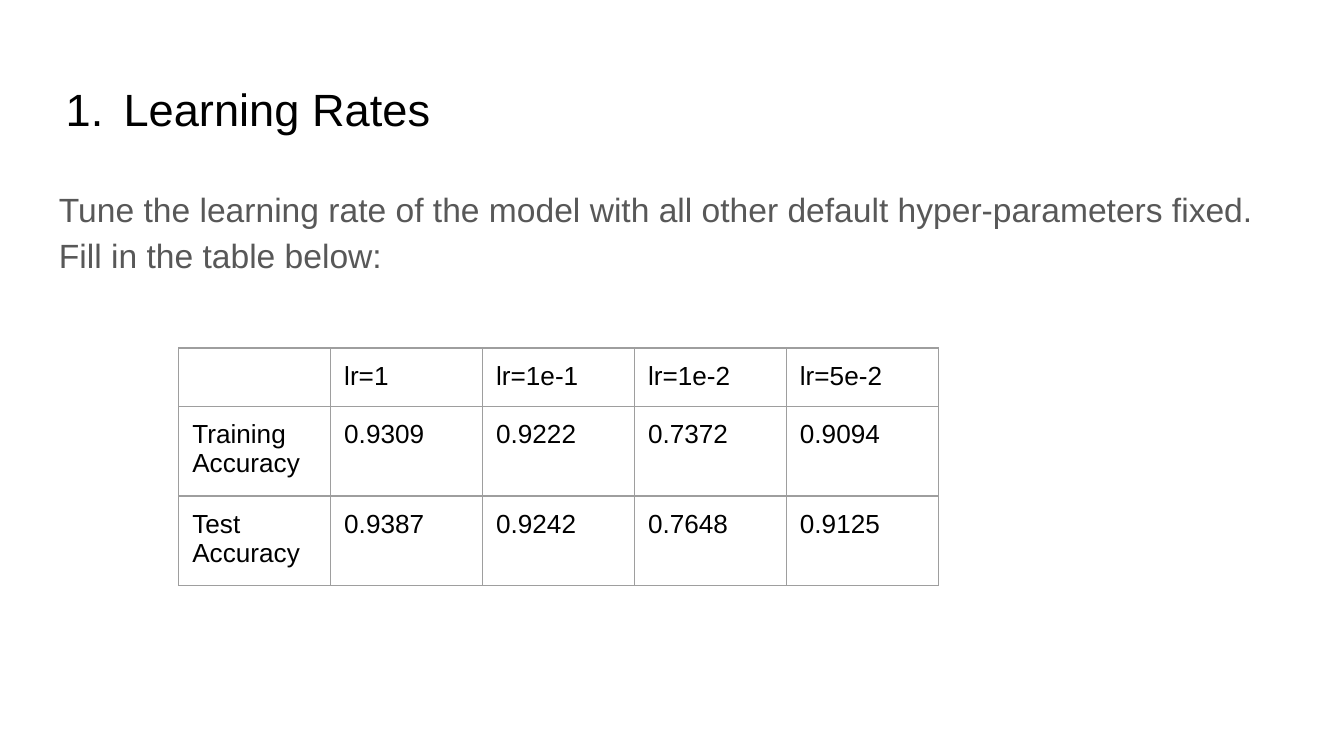
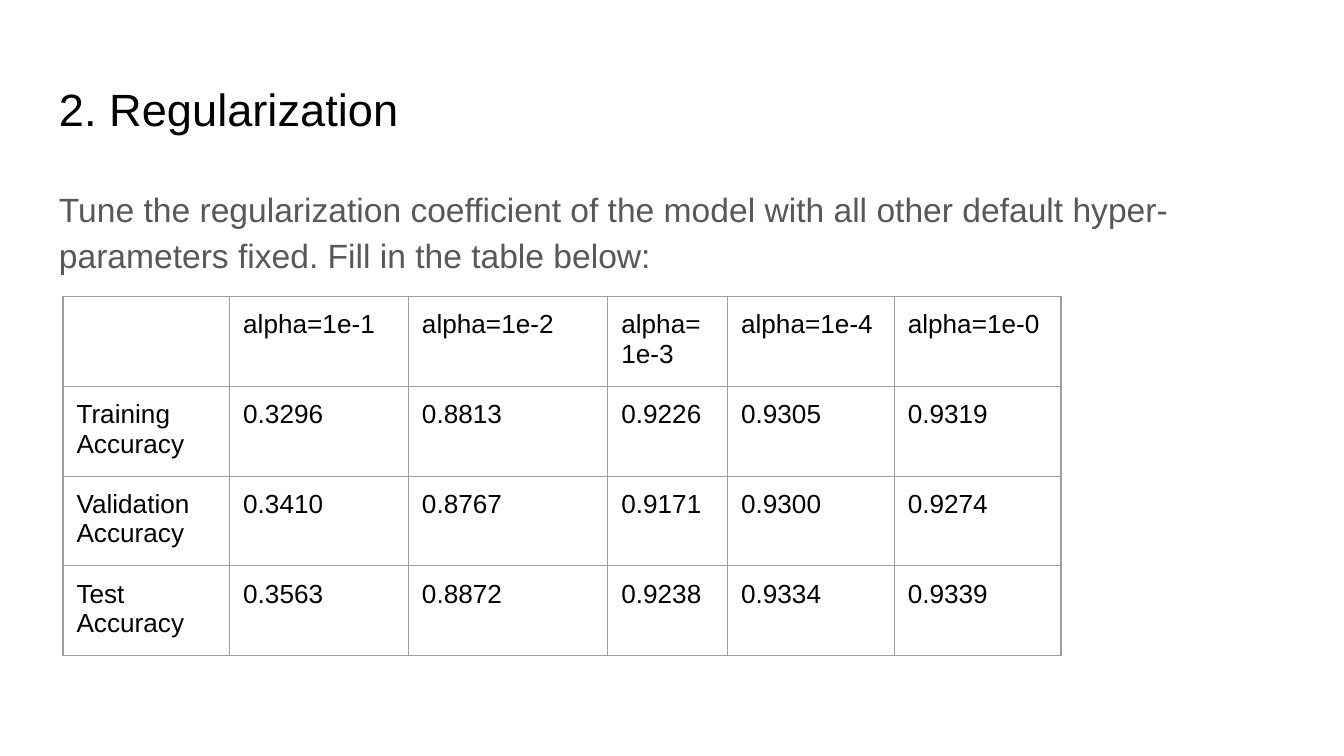
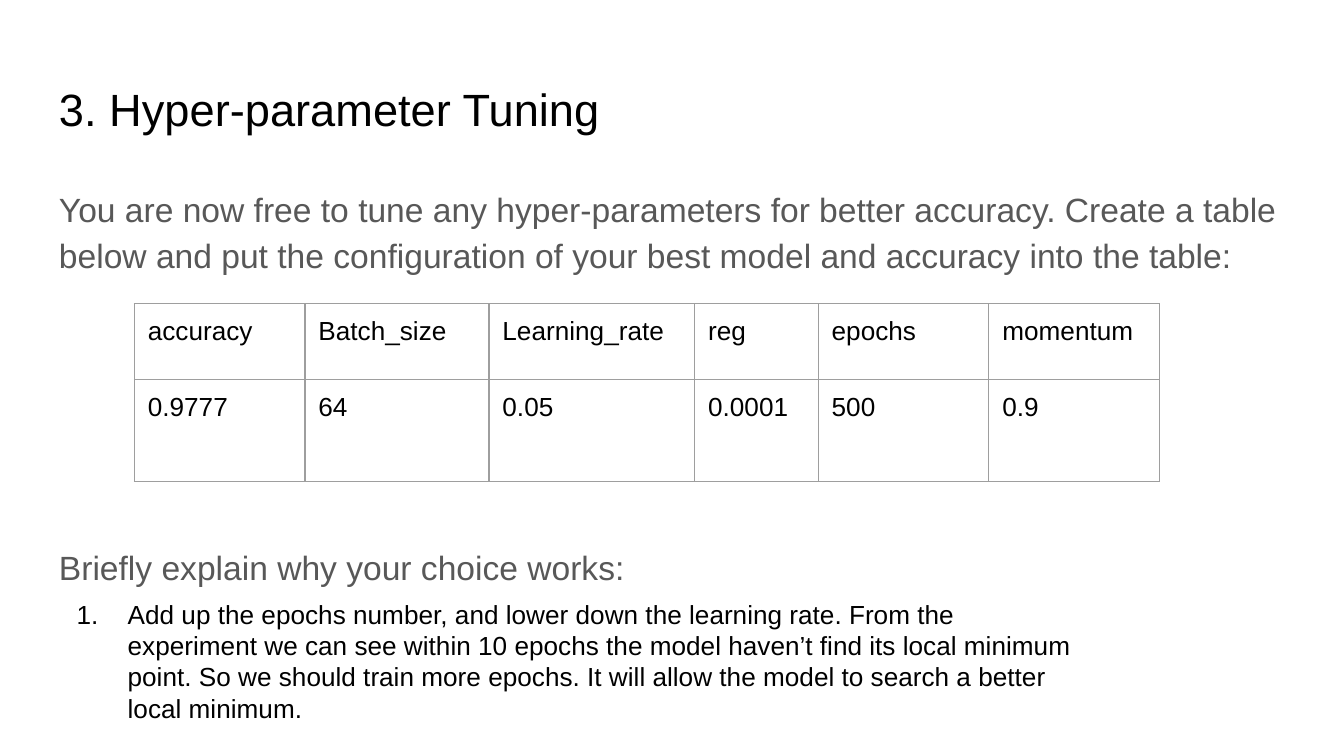
import pptx
import pptx.util
import pptx.dml.color
import pptx.enum.text
import pptx.oxml.ns
import lxml.etree
from dataclasses import dataclass

Pt = pptx.util.Pt
qn = pptx.oxml.ns.qn
ANCHOR = pptx.enum.text.MSO_ANCHOR


@dataclass(frozen=True)
class Theme:
    font: str = "Arial"
    ink: str = "000000"
    muted: str = "585858"
    paper: str = "FFFFFF"
    rule: str = "9E9E9E"
    rule_width: float = 0.75
    title_size: float = 24.2
    body_size: float = 18
    small_size: float = 14
    body_spacing: float = 1.15
    inset: float = 7.2


THEME = Theme()
SLIDE_SIZE = (720, 405)
TITLE_BOX = (24.5, 35.3, 671, 45.4)
BODY_BOX = (24.5, 90.7, 671, 269.3)
ANSWER_BOX = (41, 320.4, 541.4, 66)
TITLE_INDENT = (34.6, 31)
ANSWER_INDENT = (27.4, 27.4)
QUESTION_GAP = 142

SLIDES = [
    {
        "title": "Learning Rates",
        "numbered": True,
        "body": ["Tune the learning rate of the model with all other default "
                 "hyper-parameters fixed. Fill in the table below:"],
        "table": {
            "at": (95.8, 186.5),
            "cols": [81.4] * 5,
            "rows": [30.4, 45.9, 45.9],
            "cells": [
                ("", "lr=1", "lr=1e-1", "lr=1e-2", "lr=5e-2"),
                ("Training Accuracy", "0.9309", "0.9222", "0.7372", "0.9094"),
                ("Test Accuracy", "0.9387", "0.9242", "0.7648", "0.9125"),
            ],
        },
    },
    {
        "title": "2. Regularization",
        "body": ["Tune the regularization coefficient of the model with all other "
                 "default hyper-parameters fixed. Fill in the table below:"],
        "table": {
            "at": (33.8, 159),
            "cols": [89.3, 95.8, 106.8, 64.2, 89.3, 89.3],
            "rows": [45.9] * 4,
            "cells": [
                ("", "alpha=1e-1", "alpha=1e-2", "alpha=1e-3", "alpha=1e-4", "alpha=1e-0"),
                ("Training Accuracy", "0.3296", "0.8813", "0.9226", "0.9305", "0.9319"),
                ("Validation Accuracy", "0.3410", "0.8767", "0.9171", "0.9300", "0.9274"),
                ("Test Accuracy", "0.3563", "0.8872", "0.9238", "0.9334", "0.9339"),
            ],
        },
    },
    {
        "title": "3. Hyper-parameter Tuning",
        "body": ["You are now free to tune any hyper-parameters for better accuracy. "
                 "Create a table below and put the configuration of your best model "
                 "and accuracy into the table:",
                 "Briefly explain why your choice works:"],
        "answer": "Add up the epochs number, and lower down the learning rate. From the "
                  "experiment we can see within 10 epochs the model haven’t find its "
                  "local minimum point. So we should train more epochs. It will allow "
                  "the model to search a better local minimum.",
        "table": {
            "at": (72, 162.7),
            "cols": [91.4, 98.6, 110.2, 66.2, 91.4, 91.4],
            "rows": [40.7, 54.7],
            "cells": [
                ("accuracy", "Batch_size", "Learning_rate", "reg", "epochs", "momentum"),
                ("0.9777", "64", "0.05", "0.0001", "500", "0.9"),
            ],
        },
    },
]


def rgb(value):
    return pptx.dml.color.RGBColor.from_string(value)


def set_all(target, values):
    for name, value in values.items():
        setattr(target, name, value)


def margins(inset):
    return {f"margin_{side}": Pt(inset) for side in ("left", "top", "right", "bottom")}


def write(p, text, size, color):
    r = p.add_run()
    r.text = text
    set_all(r.font, {"name": THEME.font, "size": Pt(size)})
    r.font.color.rgb = rgb(color)


def number(p, left, hang):
    """Turn the paragraph into an automatically numbered list item."""
    pPr = p._p.get_or_add_pPr()
    pPr.set("marL", str(Pt(left)))
    pPr.set("indent", str(-Pt(hang)))
    lxml.etree.SubElement(pPr, qn("a:buFont"), typeface=THEME.font)
    lxml.etree.SubElement(pPr, qn("a:buAutoNum"), type="arabicPeriod")


def add_text(slide, box, paragraphs, size, color, inset=THEME.inset, anchor=ANCHOR.TOP):
    tf = slide.shapes.add_textbox(*map(Pt, box)).text_frame
    set_all(tf, {"word_wrap": True, "vertical_anchor": anchor, **margins(inset)})
    for i, text in enumerate(paragraphs):
        write(tf.add_paragraph() if i else tf.paragraphs[0], text, size, color)
    return tf.paragraphs


def draw_borders(cell):
    tcPr = cell._tc.get_or_add_tcPr()
    for i, side in enumerate(("lnL", "lnR", "lnT", "lnB")):
        ln = lxml.etree.Element(qn(f"a:{side}"), w=str(Pt(THEME.rule_width)))
        fill = lxml.etree.SubElement(ln, qn("a:solidFill"))
        lxml.etree.SubElement(fill, qn("a:srgbClr"), val=THEME.rule)
        tcPr.insert(i, ln)


def add_table(slide, at, cols, rows, cells):
    box = (*at, sum(cols), sum(rows))
    table = slide.shapes.add_table(len(rows), len(cols), *map(Pt, box)).table
    set_all(table, {"first_row": False, "horz_banding": False})
    for column, width in zip(table.columns, cols):
        column.width = Pt(width)
    for row, height, texts in zip(table.rows, rows, cells):
        row.height = Pt(height)
        for cell, text in zip(row.cells, texts):
            set_all(cell, margins(THEME.inset))
            cell.fill.background()
            draw_borders(cell)
            p = cell.text_frame.paragraphs[0]
            if text:
                write(p, text, THEME.small_size, THEME.ink)
            else:
                lxml.etree.SubElement(p._p, qn("a:endParaRPr"),
                                      sz=str(THEME.small_size * 100))


def add_slide(prs, content):
    slide = prs.slides.add_slide(prs.slide_layouts[6])
    slide.background.fill.solid()
    slide.background.fill.fore_color.rgb = rgb(THEME.paper)

    title = add_text(slide, TITLE_BOX, [content["title"]], THEME.title_size,
                     THEME.ink, anchor=ANCHOR.MIDDLE)
    if content.get("numbered"):
        number(title[0], *TITLE_INDENT)

    body = add_text(slide, BODY_BOX, content["body"], THEME.body_size, THEME.muted)
    for i, p in enumerate(body):
        set_all(p, {"line_spacing": THEME.body_spacing,
                    "space_before": Pt(QUESTION_GAP if i else 0)})

    if "answer" in content:
        answer = add_text(slide, ANSWER_BOX, [content["answer"]], THEME.small_size,
                          THEME.ink, inset=0)
        number(answer[0], *ANSWER_INDENT)

    add_table(slide, **content["table"])


def main():
    prs = pptx.Presentation()
    prs.slide_width, prs.slide_height = map(Pt, SLIDE_SIZE)
    for content in SLIDES:
        add_slide(prs, content)
    prs.save("out.pptx")


if __name__ == "__main__":
    main()
